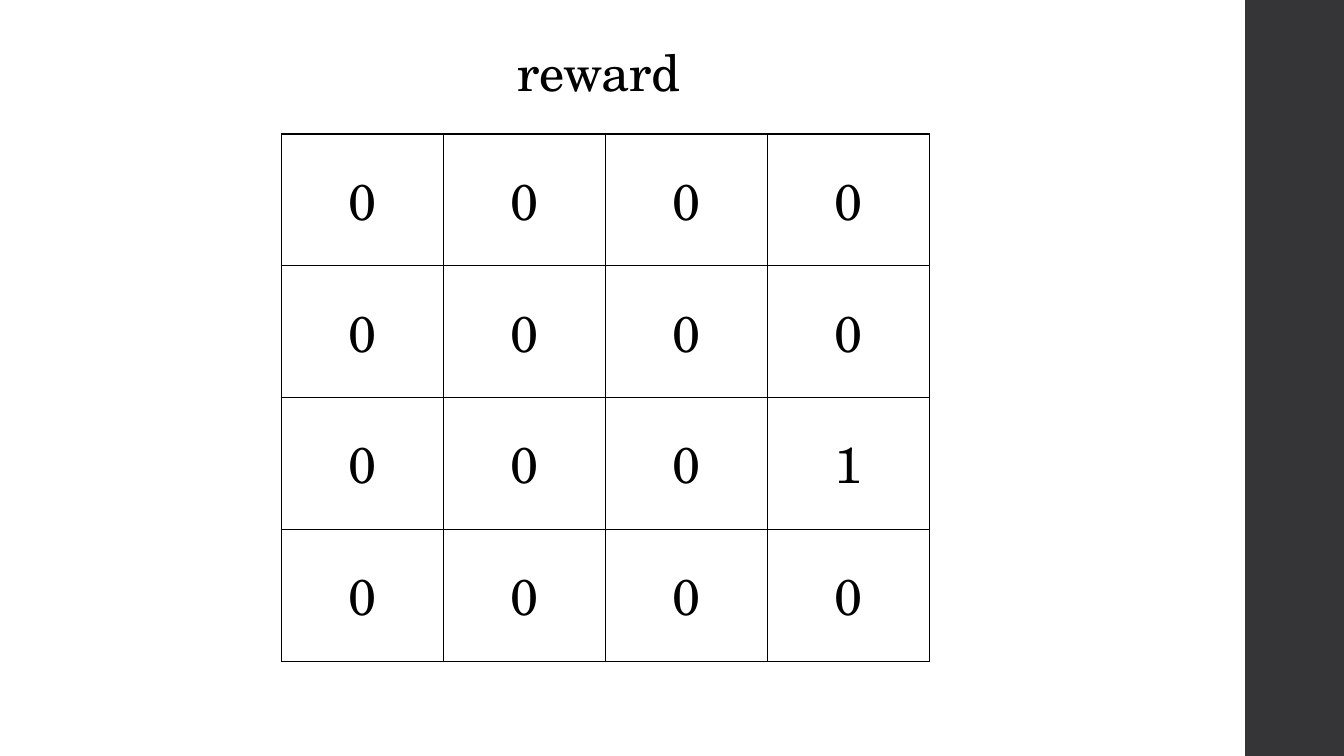
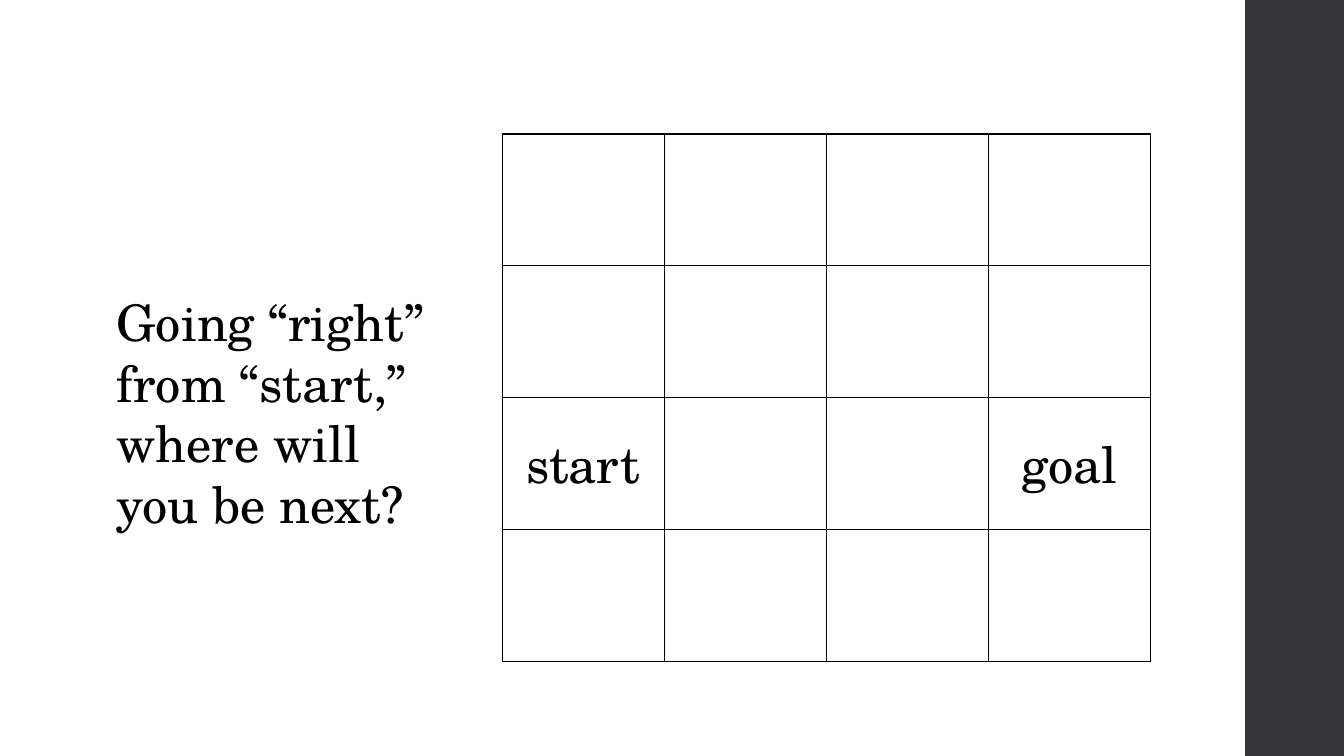
from lxml.etree import SubElement
from pptx import Presentation
from pptx.dml.color import RGBColor
from pptx.enum.shapes import MSO_SHAPE
from pptx.enum.text import MSO_ANCHOR, PP_ALIGN
from pptx.oxml.ns import qn
from pptx.util import Inches, Pt


def rgb(value):
    return RGBColor.from_string(value)


def write_text(frame, text, size=36, font="TeX Gyre Schola", color="000000",
               align=PP_ALIGN.LEFT, anchor=MSO_ANCHOR.TOP):
    frame.vertical_anchor = anchor
    frame.word_wrap = True
    paragraph = frame.paragraphs[0]
    paragraph.alignment = align
    run = paragraph.add_run()
    run.text = text
    run.font.size = Pt(size)
    run.font.name = font
    run.font.color.rgb = rgb(color)


def draw_borders(cell, color, width):
    properties = cell._tc.get_or_add_tcPr()
    for side in ("a:lnL", "a:lnR", "a:lnT", "a:lnB"):
        line = SubElement(properties, qn(side), w=str(Pt(width)))
        fill = SubElement(line, qn("a:solidFill"))
        SubElement(fill, qn("a:srgbClr"), val=color)


class Deck:
    """Holds the shared style and the slide being built."""

    BACKGROUND = "FFFFFF"
    BAND = "353537"
    GRID_LINE = "000000"
    GRID_TOP, GRID_WIDTH, GRID_HEIGHT = 1.33, 6.43, 5.23

    def __init__(self):
        self.presentation = Presentation()
        self.presentation.slide_width = Inches(13.33)
        self.presentation.slide_height = Inches(7.5)
        self.slide = None

    def add_slide(self):
        """Start a blank slide with the dark band on the right."""
        layout = self.presentation.slide_layouts[6]
        self.slide = self.presentation.slides.add_slide(layout)
        background = self.slide.background.fill
        background.solid()
        background.fore_color.rgb = rgb(self.BACKGROUND)
        band = self.slide.shapes.add_shape(
            MSO_SHAPE.RECTANGLE, Inches(12.35), 0, Inches(1), Inches(7.5))
        band.shadow.inherit = False
        band.fill.solid()
        band.fill.fore_color.rgb = rgb(self.BAND)
        band.line.fill.background()

    def add_text(self, text, left, top, width, height, **style):
        box = self.slide.shapes.add_textbox(
            Inches(left), Inches(top), Inches(width), Inches(height))
        write_text(box.text_frame, text, **style)

    def add_grid(self, rows, left):
        row_count, column_count = len(rows), len(rows[0])
        table = self.slide.shapes.add_table(
            row_count, column_count, Inches(left), Inches(self.GRID_TOP),
            Inches(self.GRID_WIDTH), Inches(self.GRID_HEIGHT)).table
        table.first_row = False
        table.horz_banding = False
        for row_index, row in enumerate(rows):
            for column_index, text in enumerate(row):
                cell = table.cell(row_index, column_index)
                draw_borders(cell, self.GRID_LINE, 1)
                cell.fill.background()
                if text:
                    cell.vertical_anchor = MSO_ANCHOR.MIDDLE
                    write_text(cell.text_frame, text, align=PP_ALIGN.CENTER,
                               anchor=MSO_ANCHOR.MIDDLE)


def grid_values(default, marks):
    """Fill a 4 by 4 grid with default, except at the (row, column) marks."""
    return [[marks.get((row, column), default) for column in range(4)]
            for row in range(4)]


def main():
    deck = Deck()

    deck.add_slide()
    deck.add_grid(grid_values("0", {(2, 3): "1"}), left=2.79)
    deck.add_text("reward", 5.03, 0.36, 1.95, 0.71)

    deck.add_slide()
    deck.add_grid(grid_values("", {(2, 0): "start", (2, 3): "goal"}), left=4.98)
    deck.add_text("Going “right” from “start,” where will you be next?",
                  1.06, 2.84, 3.46, 2.52)

    deck.presentation.save("out.pptx")


if __name__ == "__main__":
    main()
